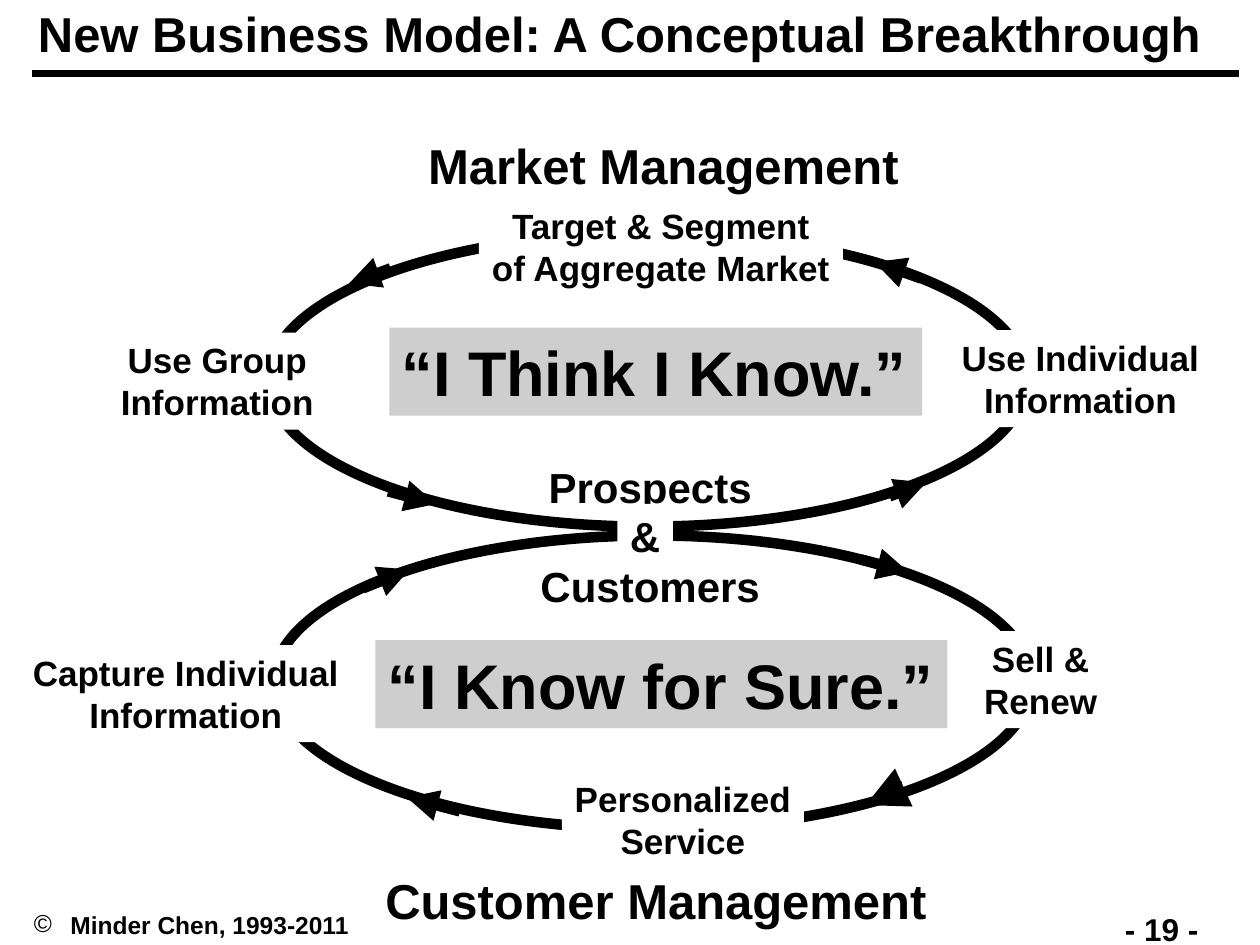
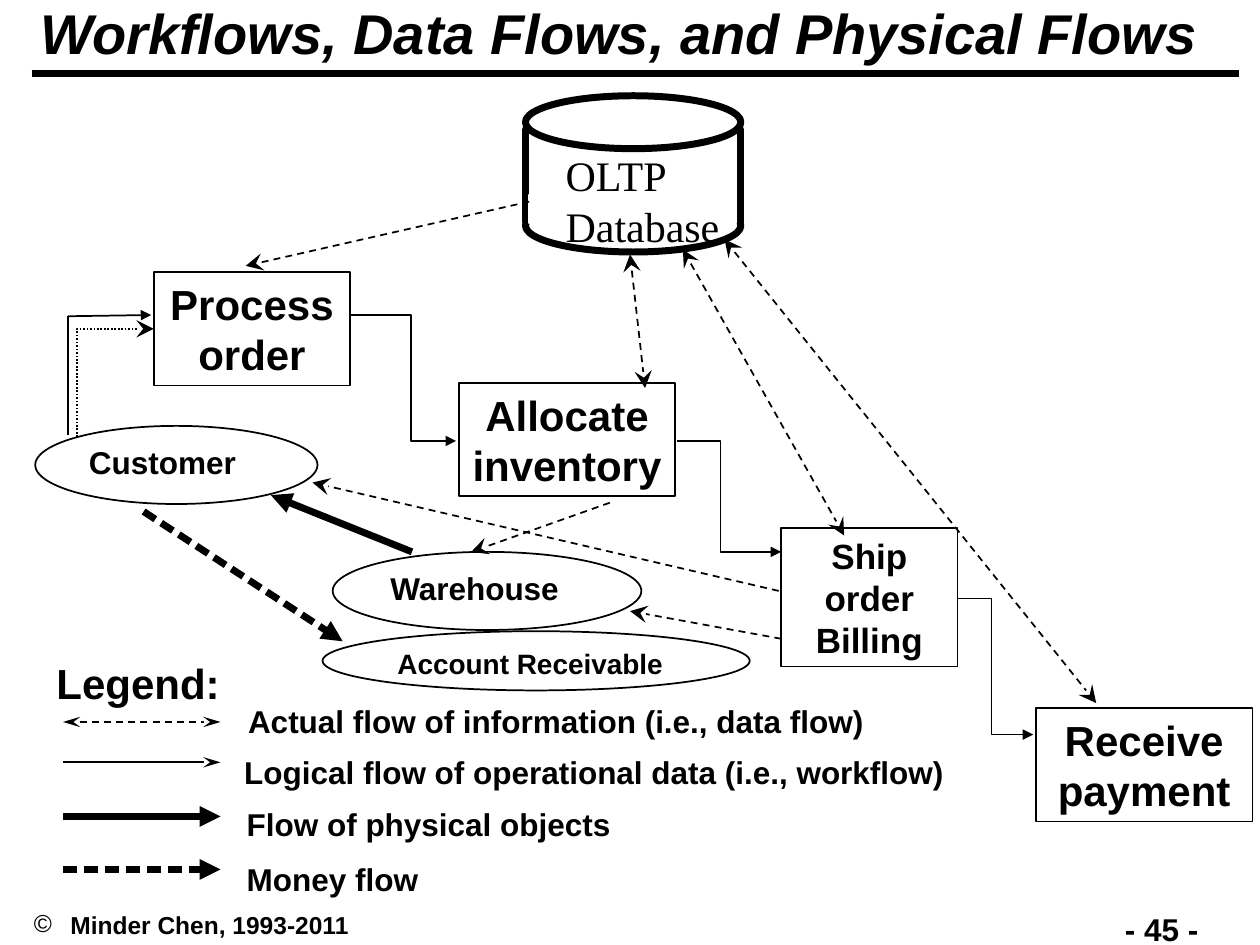
from dataclasses import dataclass, replace
from math import cos, pi, sin
from typing import Optional

from lxml import etree
from pptx import Presentation
from pptx.dml.color import RGBColor
from pptx.enum.dml import MSO_LINE
from pptx.enum.shapes import MSO_CONNECTOR, MSO_SHAPE
from pptx.enum.text import MSO_ANCHOR, PP_ALIGN
from pptx.oxml.ns import qn
from pptx.slide import Slide
from pptx.util import Inches, Pt

BLACK = RGBColor(0, 0, 0)
WHITE = RGBColor(255, 255, 255)
GREY = RGBColor(0xCE, 0xCE, 0xCE)
RECT, OVAL = MSO_SHAPE.RECTANGLE, MSO_SHAPE.OVAL
LINE = MSO_CONNECTOR.STRAIGHT
DASH, DOT = MSO_LINE.DASH, MSO_LINE.ROUND_DOT
LEFT, MID = PP_ALIGN.LEFT, PP_ALIGN.CENTER
TOP, CENTRE = MSO_ANCHOR.TOP, MSO_ANCHOR.MIDDLE
SANS, SERIF = "Arial", "Times New Roman"
WIDE, HIGH = Inches(10), Inches(7.5)
COLS = 100
CELL = WIDE / COLS
Point = tuple[float, float]


@dataclass(frozen=True)
class Node:
    left: float
    top: float
    wide: float
    high: float
    text: str = ""
    size: float = 18
    form: Optional[int] = None
    fill: Optional[RGBColor] = None
    edge: float = 0
    ink: RGBColor = BLACK
    align: int = LEFT
    hold: int = TOP
    wrap: bool = False
    font: str = SANS
    bold: bool = True
    gap: float = 0


@dataclass(frozen=True)
class Pen:
    width: float = 1
    dash: Optional[int] = None
    head: str = ""
    tail: str = ""
    span: str = "med"
    reach: str = "med"
    beat: tuple[int, ...] = ()


PLAIN = Pen()
RULE = Pen(4)
WORK = Pen(tail="triangle")
DATA = Pen(dash=DASH, tail="stealth", span="lg", reach="lg")
BOTH = replace(DATA, head="stealth")
GOODS = Pen(4, tail="triangle")
MONEY = replace(GOODS, beat=(200000, 100000))
LOOP = Pen(6, tail="triangle")
CURVE = Pen(8, head="triangle")


def cell(count: float) -> int:
    return round(count * CELL)


def style(frame, node: Node, slant: bool = False) -> None:
    frame.text = node.text
    frame.word_wrap = node.wrap
    frame.vertical_anchor = node.hold
    for rank, line in enumerate(frame.paragraphs):
        line.alignment = node.align
        if rank and node.gap:
            line.space_before = Pt(node.gap)
        for run in line.runs:
            font = run.font
            font.name, font.size = node.font, Pt(node.size)
            font.bold, font.italic = node.bold, slant
            font.color.rgb = BLACK


def draw(slide: Slide, node: Node):
    area = [cell(n) for n in (node.left, node.top, node.wide, node.high)]
    if node.form is None:
        shape = slide.shapes.add_textbox(*area)
    else:
        shape = slide.shapes.add_shape(node.form, *area)
        shape.shadow.inherit = False
        if node.fill is None:
            shape.fill.background()
        else:
            shape.fill.solid()
            shape.fill.fore_color.rgb = node.fill
        if node.edge:
            shape.line.color.rgb = node.ink
            shape.line.width = Pt(node.edge)
        else:
            shape.line.fill.background()
    if node.text:
        style(shape.text_frame, node)
    return shape


def trace(slide: Slide, pen: Pen, *points: Point) -> None:
    spots = [(cell(x), cell(y)) for x, y in points]
    if len(spots) == 2:
        shape = slide.shapes.add_connector(LINE, *spots[0], *spots[1])
    else:
        form = slide.shapes.build_freeform(*spots[0], scale=1.0)
        form.add_line_segments(spots[1:], close=False)
        shape = form.convert_to_shape()
        shape.fill.background()
    shape.line.color.rgb = BLACK
    shape.line.width = Pt(pen.width)
    if pen.dash is not None:
        shape.line.dash_style = pen.dash
    props = shape.element.spPr
    line = props.find(qn("a:ln"))
    if pen.beat:
        dash = etree.SubElement(line, qn("a:custDash"))
        stop = etree.SubElement(dash, qn("a:ds"))
        for name, size in zip(("d", "sp"), pen.beat):
            stop.set(name, str(size))
    for tag, kind in (("a:headEnd", pen.head), ("a:tailEnd", pen.tail)):
        if kind:
            end = etree.SubElement(line, qn(tag))
            for name, mark in (("type", kind), ("w", pen.span), ("len", pen.reach)):
                end.set(name, mark)
    etree.SubElement(props, qn("a:effectLst"))


def start(deck, title: str, size: float, page: int, slant: bool = False) -> Slide:
    slide = deck.slides.add_slide(deck.slide_layouts[5])
    head = slide.shapes.title
    head.left, head.top, head.width, head.height = 0, 0, cell(98.3), cell(5.8)
    style(head.text_frame, Node(0, 0, 0, 0, title, size, align=MID, hold=CENTRE, wrap=True), slant)
    head.text_frame.paragraphs[0].line_spacing = 0.9
    trace(slide, RULE, (2.5, 5.8), (98.3, 5.8))
    draw(slide, Node(88.3, 71.7, 11.6, 4, f"- {page} -", wrap=True))
    foot = draw(slide, Node(1.7, 71.7, 34, 3.3, "Minder Chen, 1993-2011", 14, wrap=True))
    props = foot.text_frame.paragraphs[0]._p.get_or_add_pPr()
    props.set("marL", str(cell(2.9)))
    props.set("indent", str(-cell(2.9)))
    etree.SubElement(props, qn("a:buFont")).set("typeface", SANS)
    etree.SubElement(props, qn("a:buChar")).set("char", "©")
    return slide


def label(left: float, top: float, wide: float, text: str) -> Node:
    return Node(left, top, wide, 7.7, text, 20, RECT, WHITE, align=MID)


def quote(left: float, top: float, wide: float, text: str) -> Node:
    return Node(left, top, wide, 7, text, 36, RECT, GREY)


def task(left: float, top: float, wide: float, high: float, text: str, size: float = 24) -> Node:
    return Node(left, top, wide, high, text, size, RECT, WHITE, 1,
                align=MID, hold=CENTRE, wrap=True)


def party(left: float, top: float, wide: float, high: float, text: str, size: float = 18) -> Node:
    return Node(left, top, wide, high, text, size, OVAL, edge=1, wrap=True)


def model(deck) -> None:
    slide = start(deck, "New Business Model: A Conceptual Breakthrough", 28, 19)
    for left, top in ((21.3, 18.5), (21.7, 42.5)):
        draw(slide, Node(left, top, 60.2, 23.3, form=OVAL, fill=WHITE, edge=6))
    turns = [step * pi / 16 for step in range(9)]
    trace(slide, CURVE, *((71.6 - 2.9 * cos(t), 63.9 - 1.3 * sin(t)) for t in turns))
    for node in (
        label(38, 15.7, 28.9, "Target & Segment\nof Aggregate Market"),
        label(75.3, 26.2, 20.9, "Use Individual\nInformation"),
        label(8.6, 26.4, 17.3, "Use Group\nInformation"),
        Node(41.9, 36.1, 19.4, 13, "Prospects\nCustomers", 24, align=MID, gap=28),
        label(77.1, 50.1, 11, "Sell &\nRenew"),
        label(1.6, 51.2, 26.3, "Capture Individual\nInformation"),
        Node(49, 40, 4.4, 5, "&", 24, RECT, WHITE),
        label(44.6, 61.2, 19.2, "Personalized\nService"),
    ):
        draw(slide, node)
    for tip in (
        ((28.8, 46.7), (32.5, 45.2)),
        ((30.8, 39), (34.6, 40)),
        ((73.1, 22.1), (69.4, 20.8)),
        ((70.6, 39.4), (73.5, 38.3)),
        ((36.5, 64.4), (32.3, 63.3)),
        ((68.3, 44.4), (72.1, 45.4)),
        ((31, 21.3), (27.7, 22.5)),
    ):
        trace(slide, LOOP, *tip)
    for node in (
        quote(30.9, 26, 42.3, "“I Think I Know.”"),
        quote(29.8, 50.8, 45.4, "“I Know for Sure.”"),
        Node(33, 10.3, 39.4, 5.2, "Market Management", 28),
        Node(29.6, 68.6, 45, 5.2, "Customer Management", 28),
    ):
        draw(slide, node)


def flows(deck) -> None:
    slide = start(deck, "Workflows, Data Flows, and Physical Flows", 32, 45, True)
    drum = Node(41.7, 7.6, 17.1, 4.2, form=OVAL, fill=WHITE, edge=4)
    for node in (
        task(12.2, 21.6, 15.6, 9, "Process order"),
        task(36.4, 30.4, 17.2, 9, "Allocate inventory"),
        task(62, 41.9, 14, 11, "Ship order Billing", 20),
        task(82.2, 56.2, 17.2, 9, "Receive\npayment"),
        party(26.4, 43.8, 24.5, 6.2, "Warehouse"),
        party(2.8, 33.8, 22.4, 6.2, "Customer"),
        party(25.6, 50.1, 33.9, 4.7, "Account Receivable", 16),
        replace(drum, top=10.3, high=7.3, form=RECT, fill=None),
        drum,
        replace(drum, top=15.8),
        Node(42, 15.5, 16.4, 2.2, form=RECT, fill=WHITE, edge=1, ink=WHITE),
        Node(43.9, 11.4, 14.2, 9, "OLTP\nDatabase", 24, font=SERIF, bold=False),
        Node(3.5, 51.7, 15, 5, "Legend:", 24),
        Node(18.7, 55.2, 53.9, 4, "Actual flow of information (i.e., data flow)", wrap=True),
        Node(18.4, 59.3, 57.6, 4, "Logical flow of operational data (i.e., workflow)"),
        Node(18.6, 63.4, 30.9, 8.5, "Flow of physical objects\nMoney flow", gap=10),
    ):
        draw(slide, node)
    for pen, *points in (
        (PLAIN, (5.4, 34.5), (5.4, 25.1)),
        (WORK, (5.4, 25.1), (12, 25)),
        (WORK, (27.8, 25), (32.6, 25), (32.6, 35), (36.2, 35)),
        (WORK, (53.7, 35), (57.2, 35), (57.2, 43.8), (62, 43.8)),
        (WORK, (76, 47.5), (78.7, 47.5), (78.7, 58.3), (82, 58.3)),
        (replace(DATA, dash=DOT), (6.1, 34.7), (6.1, 26.1), (12.2, 26.1)),
        (GOODS, (32.7, 43.8), (21.5, 39.3)),
        (MONEY, (11.4, 40.6), (27.2, 50.9)),
        (DATA, (42, 16), (19.5, 21.1)),
        (DATA, (62, 50.7), (50, 48.5)),
        (DATA, (61.8, 46.9), (24.8, 38.3)),
        (DATA, (48.4, 39.9), (37.4, 43.8)),
        (BOTH, (50, 20.2), (51.2, 30.8)),
        (BOTH, (54.2, 19.8), (67, 42.5)),
        (BOTH, (57.5, 19), (87, 55.8)),
    ):
        trace(slide, pen, *points)
    keys = (
        (replace(BOTH, span="med"), 57.3),
        (replace(DATA, dash=None, span="med"), 60.5),
        (GOODS, 64.8),
        (MONEY, 69),
    )
    for pen, row in keys:
        trace(slide, pen, (5, row), (17.5, row))


def main() -> None:
    deck = Presentation()
    deck.slide_width, deck.slide_height = WIDE, HIGH
    model(deck)
    flows(deck)
    deck.save("out.pptx")


if __name__ == "__main__":
    main()
